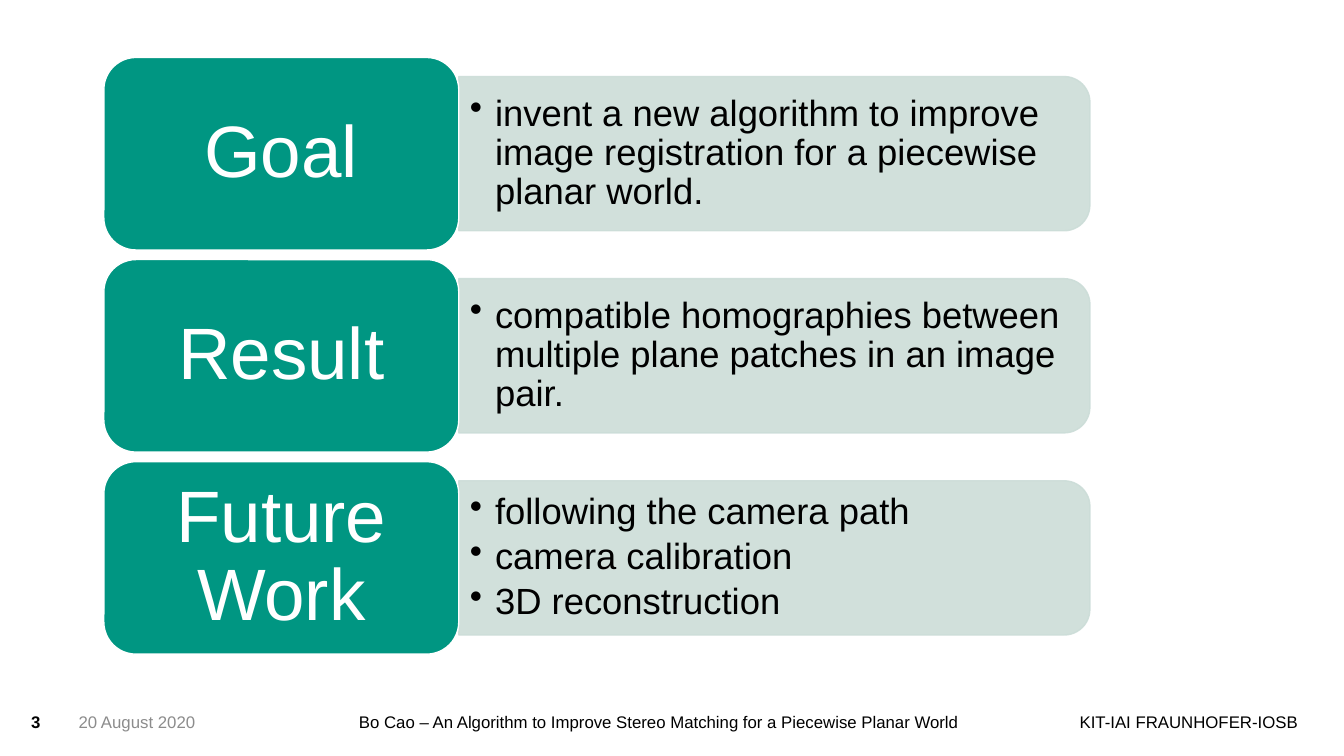
from dataclasses import dataclass

from lxml.etree import SubElement
from pptx import Presentation
from pptx.dml.color import RGBColor
from pptx.enum.shapes import MSO_SHAPE as Preset
from pptx.enum.text import MSO_ANCHOR as Anchor, PP_ALIGN as Align
from pptx.oxml.ns import qn
from pptx.util import Pt

PX = 9144  # 100 px to the inch


@dataclass(frozen=True)
class Theme:
    font: str = "Arial"
    card: str = "009682"
    panel: str = "CCDDD8"
    white: str = "FFFFFF"
    black: str = "000000"
    grey: str = "8C8C8C"
    heading_size: int = 52
    point_size: int = 26
    footer_size: int = 12


THEME = Theme()

ROWS = [
    ("Goal", ["invent a new algorithm to improve image registration for a piecewise planar world."]),
    ("Result", ["compatible homographies between multiple plane patches in an image pair."]),
    ("Future Work", ["following the camera path", "camera calibration", "3D reconstruction"]),
]

# wording, offset from the footer's left and top, width, height, margins, format
FOOTER = [
    ("Bo Cao – An Algorithm to Improve Stereo Matching for a Piecewise Planar World",
     (325, 5, 622, 40), (0, 0), {}),
    ("KIT-IAI FRAUNHOFER-IOSB", (1030, 0, 250, 30), (10, 5), {}),
    ("20 August 2020", (47, 5, 186, 40), (0, 0), {"color": THEME.grey}),
    ("3", (0, 5, 48, 40), (0, 0), {"bold": True}),
]


def px(*lengths):
    return [round(length * PX) for length in lengths]


def set_attributes(target, **values):
    for name, value in values.items():
        setattr(target, name, value)


def write(frame, lines, size, color=THEME.black, bold=False, margins=(0, 0),
          anchor=Anchor.TOP, bullets=False, **paragraph_format):
    across, down = px(*margins)
    set_attributes(frame, word_wrap=True, vertical_anchor=anchor, margin_left=across,
                   margin_right=across, margin_top=down, margin_bottom=down)
    for index, line in enumerate(lines):
        paragraph = frame.add_paragraph() if index else frame.paragraphs[0]
        set_attributes(paragraph, **paragraph_format)
        if bullets:
            add_bullet(paragraph)
        run = paragraph.add_run()
        run.text = line
        set_attributes(run.font, name=THEME.font, size=Pt(size), bold=bold)
        run.font.color.rgb = RGBColor.from_string(color)


def add_bullet(paragraph):
    indent = px(25)[0]
    properties = paragraph._p.get_or_add_pPr()
    properties.set("marL", str(indent))
    properties.set("indent", str(-indent))
    SubElement(properties, qn("a:buChar")).set("char", "•")


def add_block(slide, preset, box, fill, line):
    block = slide.shapes.add_shape(preset, *px(*box))
    block.shadow.inherit = False
    block.fill.solid()
    block.fill.fore_color.rgb = RGBColor.from_string(fill)
    block.line.color.rgb = RGBColor.from_string(line)
    block.line.width = Pt(1)
    return block


def add_panel(slide, left, top, width, height, points):
    """Place a quarter-turned tab, round at its right end, with bullets over it."""
    turned = (left + (width - height) / 2, top + (height - width) / 2, height, width)
    tab = add_block(slide, Preset.ROUND_2_SAME_RECTANGLE, turned, THEME.panel, THEME.panel)
    tab.rotation = 90
    for color in tab._element.spPr.iter(qn("a:srgbClr")):
        SubElement(color, qn("a:alpha")).set("val", "90000")
    inset = 8
    text = slide.shapes.add_textbox(*px(left, top + inset, width - inset, height - 2 * inset))
    write(text.text_frame, points, THEME.point_size, margins=(11, 5), anchor=Anchor.MIDDLE,
          bullets=True, level=1, line_spacing=0.9, space_after=Pt(4))


def add_row(slide, left, top, width, height, heading, points):
    card_width, inset = 352, 19
    add_panel(slide, left + card_width, top + inset, width - card_width,
              height - 2 * inset, points)
    card = add_block(slide, Preset.ROUNDED_RECTANGLE, (left, top, card_width, height),
                     THEME.card, THEME.white)
    write(card.text_frame, [heading], THEME.heading_size, THEME.white, margins=(22, 11),
          anchor=Anchor.MIDDLE, alignment=Align.CENTER, line_spacing=0.9)


def add_rows(slide, left, top, width, height):
    row_height = 191
    pitch = (height - row_height) / (len(ROWS) - 1)
    for index, (heading, points) in enumerate(ROWS):
        add_row(slide, left, top + index * pitch, width, row_height, heading, points)


def add_footer(slide, left, top):
    for wording, (x, y, width, height), margins, style in FOOTER:
        entry = slide.shapes.add_textbox(*px(left + x, top + y, width, height))
        write(entry.text_frame, [wording], THEME.footer_size, margins=margins, **style)


def main():
    deck = Presentation()
    deck.slide_width, deck.slide_height = px(1333, 750)
    blank_layout = deck.slide_layouts[6]
    slide = deck.slides.add_slide(blank_layout)
    add_footer(slide, 31, 701)
    add_rows(slide, 103, 57, 978, 592)
    deck.save("out.pptx")


if __name__ == "__main__":
    main()
